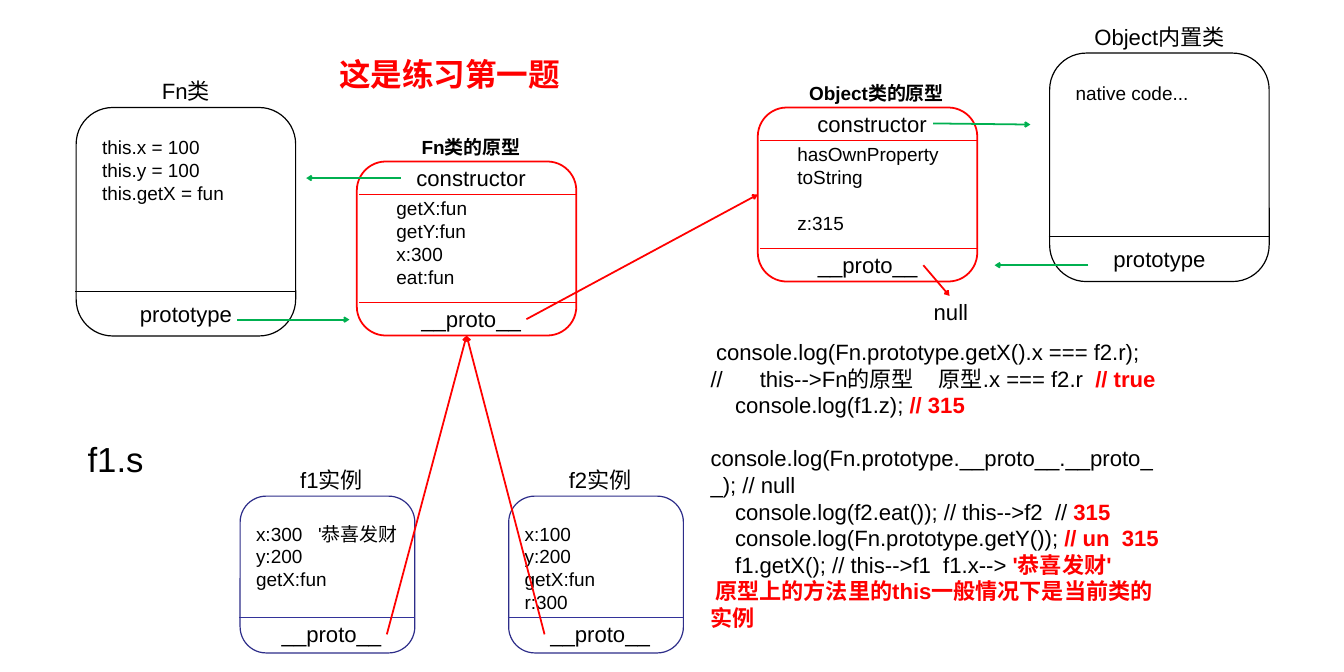
from collections import namedtuple

from lxml.etree import SubElement
from pptx import Presentation
from pptx.dml.color import RGBColor
from pptx.enum.shapes import MSO_CONNECTOR as Connector, MSO_SHAPE as Shape
from pptx.enum.text import MSO_ANCHOR as Anchor, MSO_AUTO_SIZE as AutoSize, PP_ALIGN as Align
from pptx.oxml.ns import qn
from pptx.util import Cm, Pt

color = RGBColor.from_string
BLACK, WHITE, RED, GREEN = "000000", "FFFFFF", "FF0000", "00B050"
NAVY, INDIGO = "2D2D89", "333399"
COLUMNS, ROWS = 60, 30

presentation = Presentation()
presentation.slide_width = Cm(COLUMNS)
presentation.slide_height = Cm(ROWS)
slide = presentation.slides.add_slide(presentation.slide_layouts[5])
cell = presentation.slide_width / COLUMNS


def add_text(left, top, width, height, lines, size, bold=False, align=Align.LEFT):
    box = slide.shapes.add_textbox(*(round(cell * n) for n in (left, top, width, height)))
    frame = box.text_frame
    frame.word_wrap = True
    frame.text = "\n".join(lines)
    for paragraph in frame.paragraphs:
        paragraph.alignment = align
        for run in paragraph.runs:
            run.font.name = "Arial"
            run.font.size = Pt(size)
            run.font.bold = bold
            run.font.color.rgb = color(BLACK)
    return frame.paragraphs


def add_line(x1, y1, x2, y2, hue, weight, arrow=False):
    ends = (round(cell * n) for n in (x1, y1, x2, y2))
    line = slide.shapes.add_connector(Connector.STRAIGHT, *ends)
    line.line.color.rgb = color(hue)
    line.line.width = Pt(weight)
    if arrow:
        SubElement(line.line._get_or_add_ln(), qn("a:tailEnd"), type="arrow")
    SubElement(line._element.spPr, qn("a:effectLst"))
    return line


title = slide.shapes.title
title.left, title.top, title.width, title.height = (
    round(cell * n) for n in (14.88, 2.34, 16.58, 1.96))
title.text_frame.text = "这是练习第一题"
title.text_frame.auto_size = AutoSize.NONE
title.text_frame.vertical_anchor = Anchor.TOP
heading = title.text_frame.paragraphs[0]
heading.alignment = Align.LEFT
heading_font = heading.runs[0].font
heading_font.name, heading_font.size, heading_font.bold = "Arial", Pt(40), True
heading_font.color.rgb = color(RED)

Kind = namedtuple("Kind", "width height edge weight caption_size caption_height bold "
                          "member_left member_top member_width divider_left dividers")
CLASS = Kind(9.8, 10.2, BLACK, 1.5, 28, 1.45, False, 0.91, 1.14, 7.96, -0.05,
             [(8.19, BLACK, 1)])
PROTOTYPE = Kind(9.8, 7.77, RED, 2.25, 24, 1.27, True, 1.52, 1.45, 6.86, 0.1,
                 [(6.3, RED, 0.5), (1.45, RED, 1)])
INSTANCE = Kind(7.8, 7, NAVY, 1.5, 28, 1.45, False, 0.46, 1.04, 6.86, -0.05,
                [(5.41, INDIGO, 0.5)])

boxes = [
    (CLASS, 3.4, 4.8, "Fn类", 0, ["this.x = 100", "this.y = 100", "this.getX = fun"],
     [("prototype", 0, 8.48)]),
    (PROTOTYPE, 15.93, 7.21, "Fn类的原型", 0.2, ["getX:fun", "getY:fun", "x:300", "eat:fun"],
     [("__proto__", 0.2, 6.3), ("constructor", 0.2, 0)]),
    (CLASS, 46.86, 2.37, "Object内置类", 0, ["native code..."],
     [("prototype", 0, 8.48)]),
    (PROTOTYPE, 33.83, 4.8, "Object类的原型", 0.4, ["hasOwnProperty", "toString", "z:315"],
     [("__proto__", 0, 6.3), ("constructor", 0.2, 0)]),
    (INSTANCE, 10.72, 22.15, "f1实例", 0.18, ["x:300\t'恭喜发财", "y:200", "getX:fun"],
     [("__proto__", 0.18, 5.44)]),
    (INSTANCE, 22.71, 22.15, "f2实例", 0.18, ["x:100", "y:200", "getX:fun", "r:300"],
     [("__proto__", 0.18, 5.44)]),
]
shapes, members = {}, {}
for kind, left, top, caption, shift, lines, fields in boxes:
    shape = slide.shapes.add_shape(
        Shape.ROUNDED_RECTANGLE, *(round(cell * n) for n in (left, top, kind.width, kind.height)))
    shape.shadow.inherit = False
    shape.fill.solid()
    shape.fill.fore_color.rgb = color(WHITE)
    shape.line.color.rgb = color(kind.edge)
    shape.line.width = Pt(kind.weight)
    shapes[caption] = shape
    for offset, hue, weight in kind.dividers:
        add_line(left + kind.divider_left, top + offset, left + kind.width, top + offset, hue, weight)
    add_text(left + shift, top - kind.caption_height, kind.width, kind.caption_height,
             [caption], kind.caption_size, kind.bold, Align.CENTER)
    for field, field_shift, offset in fields:
        add_text(left + field_shift, top + offset, kind.width, 1.45, [field], 28, align=Align.CENTER)
    members[caption] = add_text(left + kind.member_left, top + kind.member_top,
                                kind.member_width, 4.32, lines, 24)
members["Object类的原型"][2].space_before = Pt(28.8)

arrows = [
    (17.88, 7.95, 13.67, 7.95, GREEN, None, None),
    (10.59, 14.27, 15.6, 14.27, GREEN, None, None),
    (48.59, 11.84, 44.4, 11.84, GREEN, None, None),
    (41.66, 5.51, 46, 5.56, GREEN, None, None),
    (41.22, 11.84, 42.39, 13.21, RED, None, None),
    (23.5, 14.25, 33.83, 8.69, RED, "Object类的原型", 1),
    (17.27, 28.32, 20.83, 14.98, RED, "Fn类的原型", 2),
    (24.31, 28.32, 20.83, 14.98, RED, "Fn类的原型", 2),
]
for x1, y1, x2, y2, hue, target, side in arrows:
    arrow = add_line(x1, y1, x2, y2, hue, 2.25, True)
    if target:
        arrow.end_connect(shapes[target], side)

add_text(41.2, 13.21, 2.5, 1.45, ["null"], 28, align=Align.CENTER)
add_text(3.66, 19.43, 4, 2.13, ["f1.s"], 44)

notes = [
    (0.25, "console.log(Fn.prototype.getX().x === f2.r);", ""),
    (0, "//\tthis-->Fn的原型\t原型.x === f2.r ", " // true"),
    (1.1, "console.log(f1.z); ", "// 315"),
    (0, "console.log(Fn.prototype.__proto__.__proto__); // null", ""),
    (1.1, "console.log(f2.eat()); // this-->f2  // ", "315"),
    (1.1, "console.log(Fn.prototype.getY()); ", "// un  315"),
    (1.1, "f1.getX(); // this-->f1  f1.x--> ", "'恭喜发财'"),
    (0, " ", "原型上的方法里的this一般情况下是当前类的实例"),
]
note_paragraphs = add_text(31.47, 14.99, 20.68, 12.12, [plain for _, plain, _ in notes], 28)
for paragraph, (indent, _, answer) in zip(note_paragraphs, notes):
    paragraph._p.get_or_add_pPr().set("marL", str(round(cell * indent)))
    if answer:
        run = paragraph.add_run()
        run.text = answer
        run.font.name, run.font.size, run.font.bold = "Arial", Pt(28), True
        run.font.color.rgb = color(RED)
note_paragraphs[3].space_before = Pt(33.6)

for paragraph, stops in ((members["f1实例"][0], [2.77]), (note_paragraphs[1], [2.2, 10.19])):
    tab_list = SubElement(paragraph._p.get_or_add_pPr(), qn("a:tabLst"))
    for stop in stops:
        SubElement(tab_list, qn("a:tab"), pos=str(round(cell * stop)), algn="l")

presentation.save("out.pptx")
